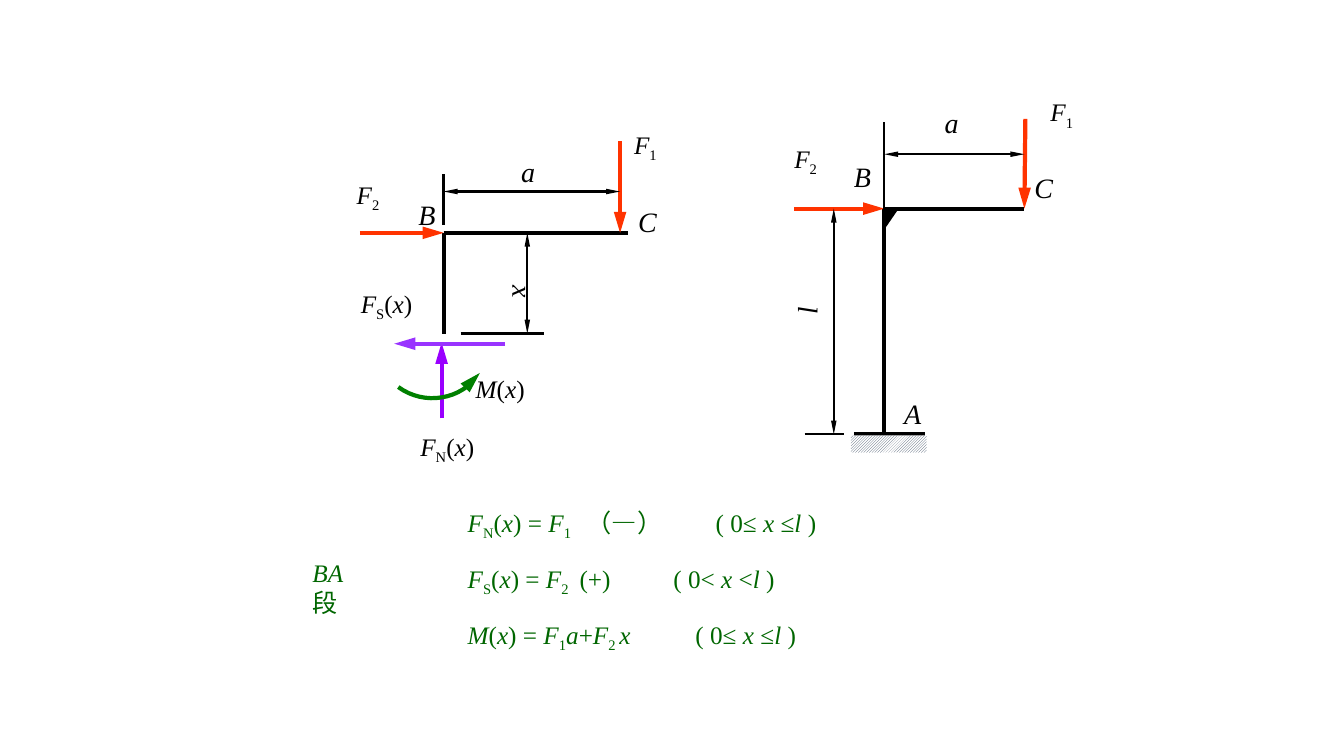
from pptx import Presentation
from pptx.dml.color import RGBColor
from pptx.enum.dml import MSO_PATTERN
from pptx.enum.shapes import MSO_CONNECTOR, MSO_SHAPE
from pptx.oxml.ns import qn
from pptx.util import Inches, Pt
from lxml.etree import SubElement

BLACK, RED, GREEN = "000000", "FF3300", "006600"

deck = Presentation()
deck.slide_width, deck.slide_height = Inches(13.33), Inches(7.5)
slide = deck.slides.add_slide(deck.slide_layouts[6])
shapes = slide.shapes
color = RGBColor.from_string


def style(shape, hue, width, ends):
    shape.line.color.rgb = color(hue)
    shape.line.width = Pt(width)
    line = shape.line._get_or_add_ln()
    for end in ends.split():
        size = "sm" if width < 2 else "med"
        SubElement(line, qn(f"a:{end}End"), type="triangle", w=size, len="lg")


def write(x, y, wide, text, size=18, hue=BLACK, stops=()):
    box = shapes.add_textbox(Inches(x), Inches(y), Inches(wide), Inches(0.43 if size == 20 else 0.4))
    box.text_frame.word_wrap = True
    para = box.text_frame.paragraphs[0]
    if stops:
        tabs = SubElement(para._p.get_or_add_pPr(), qn("a:tabLst"))
        for stop in stops:
            SubElement(tabs, qn("a:tab"), pos=str(Inches(stop)), algn="l")
    for part in text.split("|"):
        run = para.add_run()
        run.text = part.removeprefix("_")
        look = {"name": "Times New Roman", "size": Pt(size),
                "italic": part.isascii() and part.strip().isalpha()}
        for key, value in look.items():
            setattr(run.font, key, value)
        run.font.color.rgb = color(hue)
        if part.startswith("_"):
            run._r.get_or_add_rPr().set("baseline", "-25000")
    return box


lines = [
    (8.47, 4.31, 9.17, 4.31, BLACK, 3, ""),
    (8.77, 2.07, 10.16, 2.07, BLACK, 3, ""),
    (8.77, 2.07, 8.77, 4.31, BLACK, 3, ""),
    (10.17, 1.18, 10.16, 2.07, RED, 3, "tail"),
    (7.88, 2.07, 8.77, 2.07, RED, 3, "tail"),
    (7.98, 4.31, 8.37, 4.31, BLACK, 1.5, ""),
    (8.27, 2.07, 8.27, 4.31, BLACK, 1.5, "head tail"),
    (8.77, 2.07, 8.77, 1.21, BLACK, 1.5, ""),
    (8.77, 1.53, 10.16, 1.53, BLACK, 1.5, "head tail"),
    (4.38, 4.15, 4.38, 3.4, "9900FF", 3, "tail"),
    (5.01, 3.41, 3.91, 3.41, "9933FF", 3, "tail"),
    (4.4, 2.31, 6.23, 2.31, BLACK, 3, ""),
    (4.4, 2.31, 4.4, 3.31, BLACK, 3, ""),
    (6.15, 1.4, 6.15, 2.31, RED, 3, "tail"),
    (3.57, 2.31, 4.4, 2.31, RED, 3, "tail"),
    (4.57, 3.31, 5.4, 3.31, BLACK, 2.25, ""),
    (5.23, 2.31, 5.23, 3.31, BLACK, 1.5, "head tail"),
    (4.4, 1.73, 4.4, 2.23, BLACK, 2.25, ""),
    (4.4, 1.9, 6.15, 1.9, BLACK, 1.5, "head tail"),
]
for *ends, hue, width, heads in lines:
    bar = shapes.add_connector(MSO_CONNECTOR.STRAIGHT, *map(Inches, ends))
    style(bar, hue, width, heads)
    SubElement(bar.element.spPr, qn("a:effectLst"))

ground = shapes.add_shape(MSO_SHAPE.RECTANGLE, Inches(8.44), Inches(4.32), Inches(0.75), Inches(0.17))
ground.fill.patterned()
ground.fill.pattern = MSO_PATTERN.DARK_UPWARD_DIAGONAL
ground.fill.fore_color.rgb = color("44546A")
ground.fill.back_color.rgb = color("FFFFFF")

wedge = shapes.add_shape(MSO_SHAPE.ISOSCELES_TRIANGLE, Inches(8.77), Inches(2.07), Inches(0.17), Inches(0.17))
wedge.adjustments[0] = 0
wedge.rotation = 79.4
wedge.fill.solid()
wedge.fill.fore_color.rgb = color(BLACK)
for shape in (ground, wedge):
    shape.line.fill.background()
    shape.shadow.inherit = False

knots = [(4.76, 3.7), (4.58, 3.97), (4.21, 4.03), (3.95, 3.84)]
curve = []
for step in range(17):
    t = step / 16
    mix = ((1 - t) ** 3, 3 * t * (1 - t) ** 2, 3 * t * t * (1 - t), t ** 3)
    curve.append([Inches(sum(m * k[axis] for m, k in zip(mix, knots))) for axis in (0, 1)])
pen = shapes.build_freeform(*curve[0])
pen.add_line_segments(curve[1:], close=False)
moment = pen.convert_to_shape()
moment.fill.background()
moment.shadow.inherit = False
style(moment, "008000", 3, "head")

labels = [
    (9.27, 1, 0.69, "a", 20),
    (8.87, 3.88, 0.7, "A", 20),
    (8.37, 1.53, 0.69, "B", 20),
    (10.16, 1.64, 0.89, "C", 20),
    (6.23, 1.98, 0.5, "C", 20),
    (4.05, 1.91, 0.42, "B", 20),
    (5.07, 1.48, 0.5, "a", 20),
    (10.32, 0.91, 1.19, "F|_1", 18),
    (7.78, 1.37, 0.6, "F|_2", 18),
    (6.19, 1.23, 1.02, "F|_1", 18),
    (3.44, 1.73, 0.6, "F|_2", 18),
    (3.48, 2.81, 1.45, "F|_S|(|x|)", 18),
    (4.07, 4.23, 1.81, "F|_N|(|x|)", 18),
    (4.62, 3.65, 1.57, "M|(|x|)", 18),
]
for label in labels:
    write(*label)
write(7.56, 2.58, 0.86, "l", 20).rotation = 268.8
depth = write(4.87, 2.73, 0.54, "x", 20)
depth.height = Inches(0.71)
depth.element.txBody.find(qn("a:bodyPr")).set("vert", "eaVert")

write(3, 5.48, 0.75, "BA |段", hue=GREEN)
rows = [
    ("F|_N|(|x|) = |F|_1|\t（—）\t( 0≤ |x |≤|l |)", (1.18, 2.46)),
    ("F|_S|(|x|) = |F|_2|\t(+)\t( 0< |x |<|l |)", (1.11, 2.04)),
    ("M|(|x|) = |F|_1|a|+|F|_2 |x|\t( 0≤ |x |≤|l |)", (2.26,)),
]
for row, (text, stops) in enumerate(rows):
    write(4.54, 4.98 + 0.555 * row, 5, text, hue=GREEN, stops=stops)

deck.save("out.pptx")
